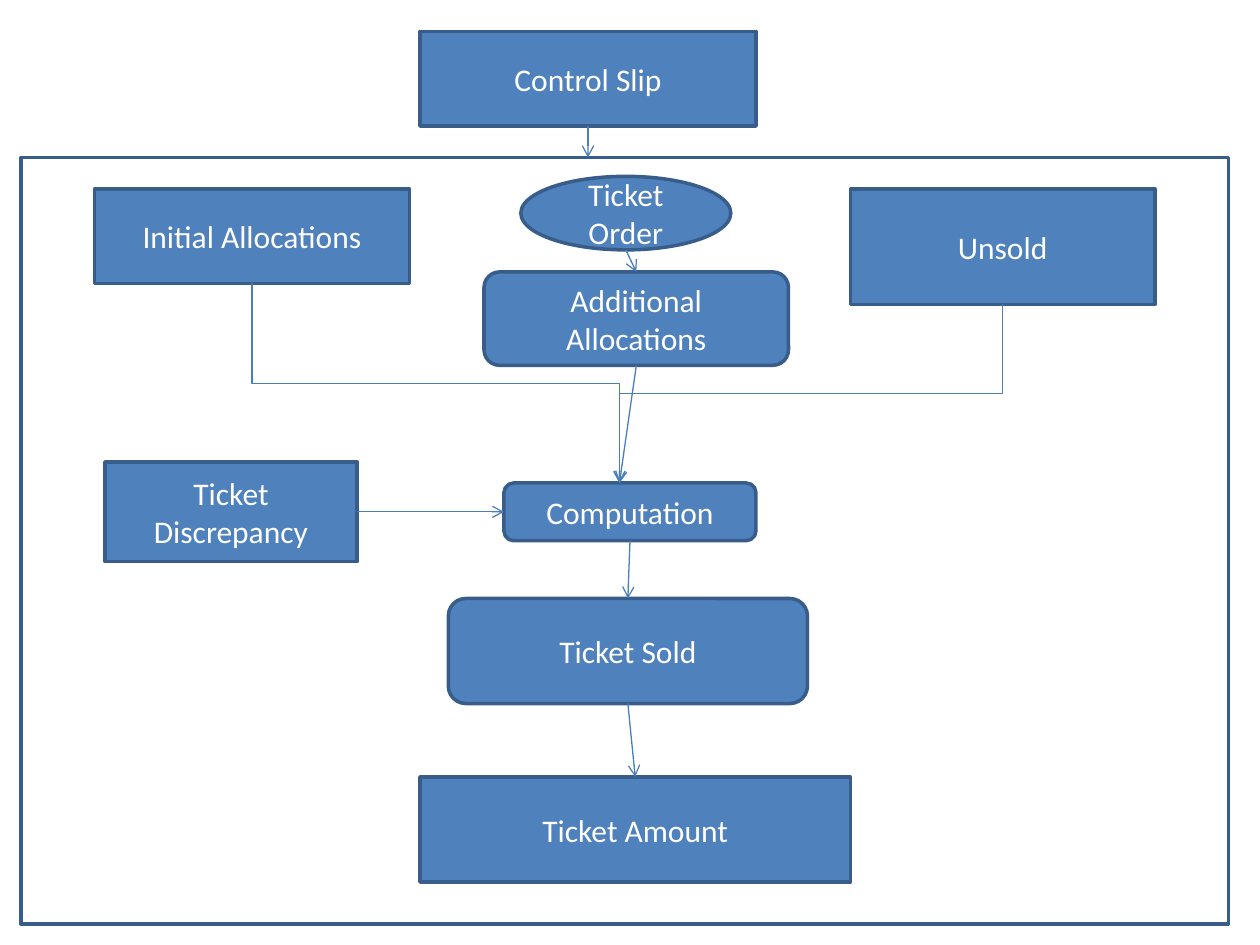
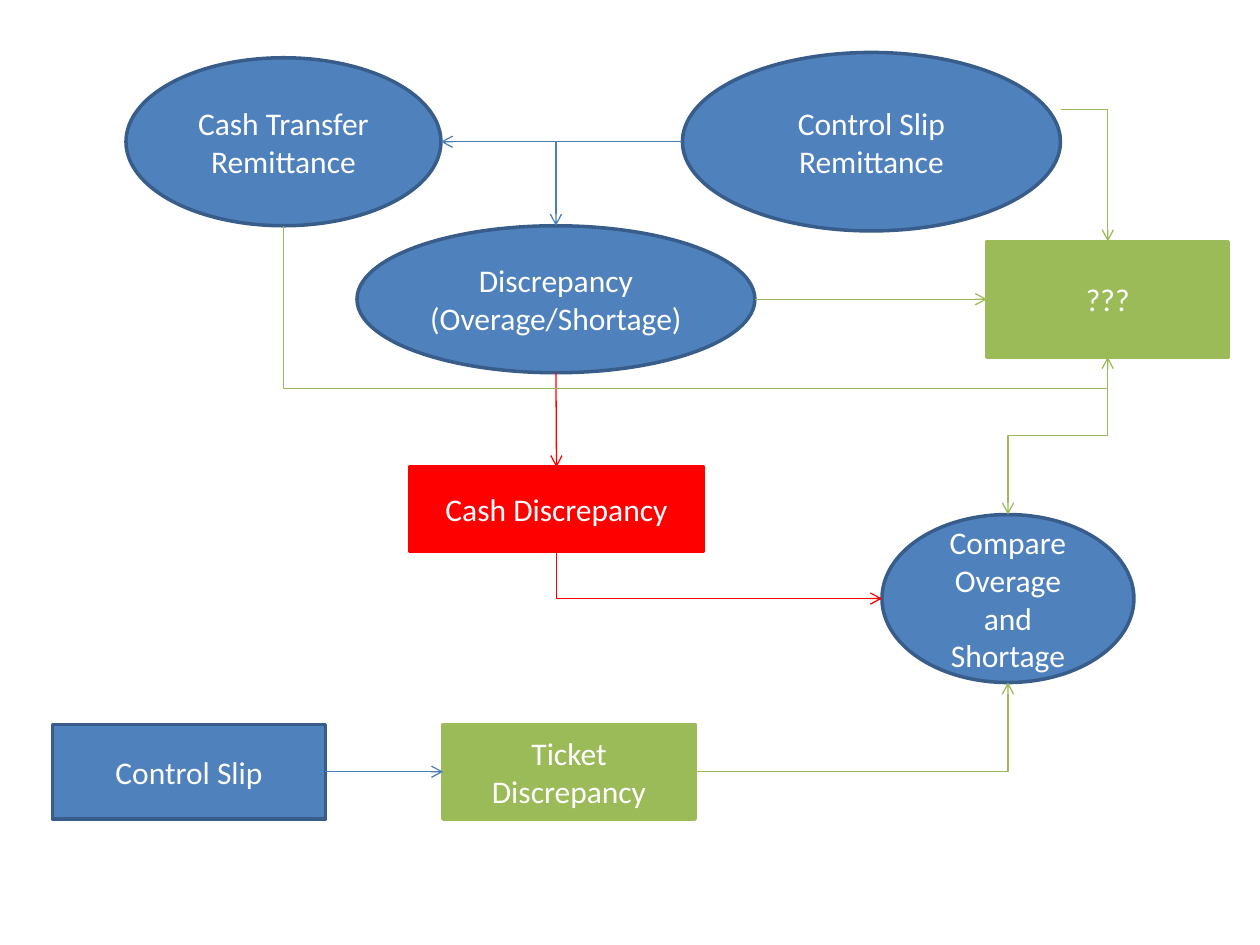
from lxml import etree
from pptx import Presentation
from pptx.dml.color import RGBColor
from pptx.enum.shapes import MSO_CONNECTOR, MSO_SHAPE
from pptx.enum.text import MSO_ANCHOR, PP_ALIGN
from pptx.oxml.ns import qn
from pptx.util import Inches, Pt

RECT, ROUNDED, OVAL = MSO_SHAPE.RECTANGLE, MSO_SHAPE.ROUNDED_RECTANGLE, MSO_SHAPE.OVAL
STRAIGHT, ELBOW = MSO_CONNECTOR.STRAIGHT, MSO_CONNECTOR.ELBOW
MIDDLE, CENTER = MSO_ANCHOR.MIDDLE, PP_ALIGN.CENTER

COLORS = {
    "blue": "4F81BD",
    "navy": "385D8A",
    "arrow": "4A7EBB",
    "green": "9BBB59",
    "red": "FF0000",
    "white": "FFFFFF",
}
FONT = "Calibri"

# Slide grid: 120 columns by 90 rows of square cells
COLUMNS, ROWS = 120, 90
CELL = Inches(10) / COLUMNS


def grid(cells):
    return round(cells * CELL)


def rgb(name):
    return RGBColor.from_string(COLORS[name])


# Boxes
def outline(slide, kind, place, color):
    """Add an unfilled shape at (column, row, columns wide, rows high)."""
    shape = slide.shapes.add_shape(kind, *map(grid, place))
    shape.shadow.inherit = False
    shape.fill.background()
    shape.line.color.rgb = rgb(color)
    shape.line.width = Pt(2)
    return shape


def node(slide, label, kind, place, fill="blue"):
    """Add a labelled box and return its place, for arrows to start or end at."""
    shape = outline(slide, kind, place, "navy" if fill == "blue" else fill)
    shape.fill.solid()
    shape.fill.fore_color.rgb = rgb(fill)
    frame = shape.text_frame
    frame.word_wrap = True
    frame.vertical_anchor = MIDDLE
    paragraph = frame.paragraphs[0]
    paragraph.alignment = CENTER
    run = paragraph.add_run()
    run.text = label
    run.font.name = FONT
    run.font.size = Pt(18)
    run.font.color.rgb = rgb("white")
    return place


def side(place, name):
    """Middle of one side of a box, in grid cells."""
    left, top, width, height = place
    return {
        "top": (left + width / 2, top),
        "bottom": (left + width / 2, top + height),
        "left": (left, top + height / 2),
        "right": (left + width, top + height / 2),
    }[name]


# Arrows
def connect(slide, kind, start, end, color):
    connector = slide.shapes.add_connector(kind, *map(grid, (*start, *end)))
    connector.line.color.rgb = rgb(color)
    connector.line.width = Pt(0.75)
    properties = connector._element.spPr
    head = etree.SubElement(properties.find(qn("a:ln")), qn("a:tailEnd"))
    head.set("type", "arrow")
    etree.SubElement(properties, qn("a:effectLst"))
    return connector


def arrow(slide, start, end, color="arrow"):
    connect(slide, STRAIGHT, start, end, color)


def set_bends(connector, bend):
    """One corner if bend is None, else two, with the middle leg at that share."""
    geometry = connector._element.spPr.find(qn("a:prstGeom"))
    if bend is None:
        geometry.set("prst", "bentConnector2")
        return
    values = geometry.find(qn("a:avLst"))
    if values is None:
        values = etree.SubElement(geometry, qn("a:avLst"))
    guide = etree.SubElement(values, qn("a:gd"))
    guide.set("name", "adj1")
    guide.set("fmla", f"val {round(bend * 100000)}")


def elbow_across(slide, start, end, color="arrow"):
    """Leave sideways, then turn once."""
    set_bends(connect(slide, ELBOW, start, end, color), None)


def elbow_down(slide, start, end, color="arrow", bend=None):
    """Leave downwards: a sideways elbow turned by a quarter about its middle."""
    (x1, y1), (x2, y2) = start, end
    middle_x, middle_y = (x1 + x2) / 2, (y1 + y2) / 2
    half_width, half_height = (y2 - y1) / 2, abs(x2 - x1) / 2
    rightward = x2 > x1
    if rightward:
        half_width = -half_width
    connector = connect(
        slide, ELBOW,
        (middle_x - half_width, middle_y - half_height),
        (middle_x + half_width, middle_y + half_height), color)
    degrees = 270 if rightward else 90
    connector._element.spPr.find(qn("a:xfrm")).set("rot", str(degrees * 60000))
    set_bends(connector, bend)


# Slide 1: from control slip to ticket amount
def ticket_flow(slide):
    process = (2, 15, 115, 73)
    outline(slide, RECT, process, "navy")
    control_slip = node(slide, "Control Slip", RECT, (40, 3, 32, 9))
    initial = node(slide, "Initial Allocations", RECT, (9, 18, 30, 9))
    order = node(slide, "Ticket Order", OVAL, (49.6, 16.8, 20, 7))
    unsold = node(slide, "Unsold", RECT, (81, 18, 29, 11))
    additional = node(slide, "Additional Allocations", ROUNDED, (46.1, 25.9, 29, 8.9))
    discrepancy = node(slide, "Ticket Discrepancy", RECT, (10, 44, 24, 9.5))
    computation = node(slide, "Computation", ROUNDED, (48, 46, 24, 5.5))
    sold = node(slide, "Ticket Sold", ROUNDED, (42.7, 57, 34.2, 10))
    amount = node(slide, "Ticket Amount", RECT, (40, 74, 41, 10))

    slip_exit = side(control_slip, "bottom")
    arrow(slide, slip_exit, (slip_exit[0], process[1]))
    for upper, lower in ((order, additional), (computation, sold), (sold, amount)):
        arrow(slide, side(upper, "bottom"), side(lower, "top"))
    arrow(slide, side(discrepancy, "right"), side(computation, "left"))

    # Three inputs meet at one point on the computation
    meeting = (59, computation[1])
    arrow(slide, side(additional, "bottom"), meeting)
    for source in (initial, unsold):
        elbow_down(slide, side(source, "bottom"), meeting, bend=0.5)


# Slide 2: comparing remittances and discrepancies
def discrepancy_flow(slide):
    cash = node(slide, "Cash Transfer Remittance", OVAL, (12, 5.5, 30, 16))
    slip_remittance = node(slide, "Control Slip Remittance", OVAL, (65, 5, 36, 17))
    cash_gap = node(slide, "Cash Discrepancy", RECT, (39, 44.5, 28, 8), "red")
    unknown = node(slide, "???", RECT, (94, 23, 23, 11), "green")
    overage = node(slide, "Discrepancy (Overage/Shortage)", OVAL, (34, 21.5, 37.9, 14))
    ticket_gap = node(slide, "Ticket Discrepancy", RECT, (42.2, 69, 24, 9), "green")
    control_slip = node(slide, "Control Slip", RECT, (5, 69, 26, 9))
    compare = node(slide, "Compare Overage and Shortage", OVAL, (84, 49, 24, 16))

    # Remittances
    arrow(slide, side(slip_remittance, "left"), side(cash, "right"))
    elbow_across(slide, side(cash, "right"), side(overage, "top"))
    arrow(slide, side(control_slip, "right"), side(ticket_gap, "left"))

    # Cash discrepancy
    arrow(slide, side(overage, "bottom"), side(cash_gap, "top"), "red")
    elbow_down(slide, side(cash_gap, "bottom"), side(compare, "left"), "red")

    # Open question and comparison
    arrow(slide, side(overage, "right"), side(unknown, "left"), "green")
    elbow_down(slide, side(cash, "bottom"), side(unknown, "bottom"), "green", 1.24)
    elbow_down(slide, (101, 10.45), side(unknown, "top"), "green", 0)
    elbow_down(slide, side(unknown, "bottom"), side(compare, "top"), "green", 0.5)
    elbow_across(slide, side(ticket_gap, "right"), side(compare, "bottom"), "green")


def main():
    deck = Presentation()
    deck.slide_width, deck.slide_height = grid(COLUMNS), grid(ROWS)
    blank = deck.slide_layouts[6]
    for draw in (ticket_flow, discrepancy_flow):
        draw(deck.slides.add_slide(blank))
    deck.save("out.pptx")


if __name__ == "__main__":
    main()
